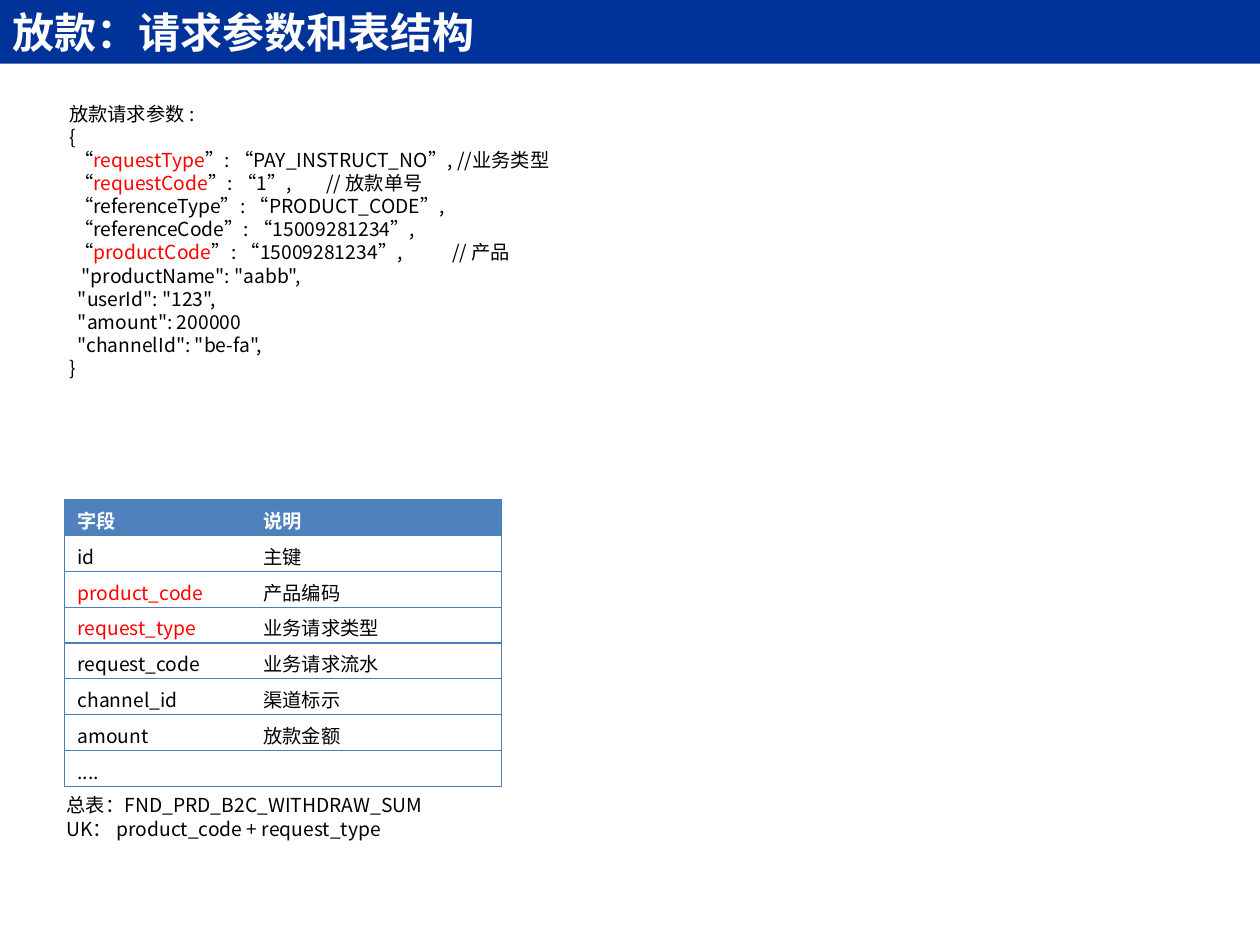
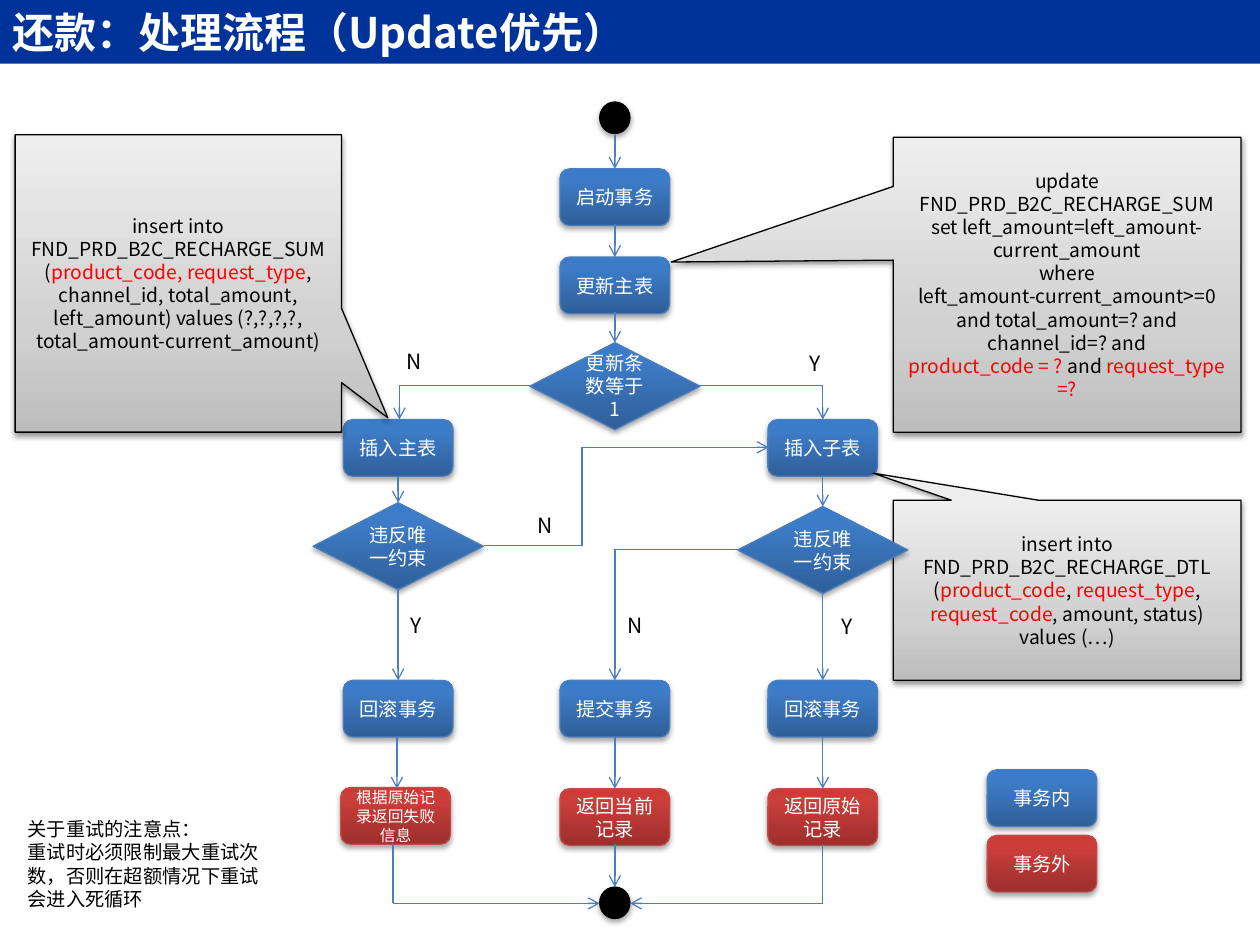
import itertools
import pptx
import pptx.dml.color
import pptx.enum.shapes
import pptx.enum.text
import pptx.oxml
import pptx.oxml.ns
import pptx.util

COLORS = {
    "band": "003399", "white": "FFFFFF", "black": "000000", "red": "FF0000",
    "line": "4B7EBC", "red_line": "BF4C48", "header": "4F81BD",
}
GRADIENTS = {
    "inside": ((0, "2F5F99"), (80, "3D7CC7"), (100, "3A7CCB")),
    "outside": ((0, "9C2F2D"), (80, "CB3E3A"), (100, "CE3B37")),
    "note": ((0, "BDBDBD"), (35, "D1D1D1"), (100, "EEEEEE")),
}
FONT = "Noto Sans CJK SC"
COLUMNS, ROWS = 100, 75
KINDS = pptx.enum.shapes.MSO_SHAPE
CENTER = pptx.enum.text.PP_ALIGN.CENTER
MIDDLE = pptx.enum.text.MSO_ANCHOR.MIDDLE


def rgb(name):
    return pptx.dml.color.RGBColor.from_string(COLORS[name])


def apply(target, values):
    for name, value in values.items():
        setattr(target, name, value)


def element(tag, inner="", **attributes):
    listed = "".join(f' {key}="{value}"' for key, value in attributes.items())
    namespace = pptx.oxml.ns.nsdecls("a")
    return pptx.oxml.parse_xml(f"<a:{tag} {namespace}{listed}>{inner}</a:{tag}>")


class Page:
    def __init__(self, deck, title):
        self.deck = deck
        self.slide = deck.slides.add_slide(deck.slide_layouts[6])
        self.shapes = self.slide.shapes
        band = self.shape(KINDS.RECTANGLE, 0, 0, COLUMNS, 5.05)
        self.fill(band, "band")
        band.line.fill.background()
        band.text_frame.vertical_anchor = pptx.enum.text.MSO_ANCHOR.TOP
        self.add_lines(band.text_frame, [title], size=24, color="white", bold=True,
                       align=pptx.enum.text.PP_ALIGN.LEFT)

    def x(self, column):
        return round(self.deck.slide_width * column / COLUMNS)

    def y(self, row):
        return round(self.deck.slide_height * row / ROWS)

    def place(self, left, top, width, height):
        return self.x(left), self.y(top), self.x(width), self.y(height)

    def shape(self, kind, *place):
        shape = self.shapes.add_shape(kind, *self.place(*place))
        shape.shadow.inherit = False
        return shape

    def fill(self, target, color):
        target.fill.solid()
        target.fill.fore_color.rgb = rgb(color)

    def outline(self, shape, color):
        shape.line.color.rgb = rgb(color)
        shape.line.width = pptx.util.Pt(0.75)

    def gradient(self, shape, name):
        stops = "".join(
            f'<a:gs pos="{share * 1000}"><a:srgbClr val="{color}"/></a:gs>'
            for share, color in GRADIENTS[name])
        shape.fill.solid()
        properties = shape._element.spPr
        properties.replace(
            properties.find(pptx.oxml.ns.qn("a:solidFill")),
            element("gradFill", f'<a:gsLst>{stops}</a:gsLst><a:lin ang="16200000" scaled="0"/>',
                    rotWithShape=1))

    def shade(self, shape, alpha=35, distance=23000):
        effects = shape._element.spPr.find(pptx.oxml.ns.qn("a:effectLst"))
        effects.append(element(
            "outerShdw",
            f'<a:srgbClr val="{COLORS["black"]}"><a:alpha val="{alpha * 1000}"/></a:srgbClr>',
            blurRad=40000, dist=distance, dir=5400000, rotWithShape=0))

    def add_lines(self, frame, lines, size=11, color="black", bold=False, align=None):
        for number, line in enumerate(lines):
            para = frame.paragraphs[0] if number == 0 else frame.add_paragraph()
            para.alignment = align
            for position, text in enumerate(line.split("|")):
                if not text:
                    continue
                span = para.add_run()
                span.text = text
                apply(span.font, {"name": FONT, "size": pptx.util.Pt(size), "bold": bold})
                span.font.color.rgb = rgb("red" if position % 2 else color)
                span._r.get_or_add_rPr().append(element("ea", typeface=FONT))

    def text(self, place, lines, size=11, wrap=True):
        box = self.shapes.add_textbox(*self.place(*place))
        box.text_frame.word_wrap = wrap
        self.add_lines(box.text_frame, lines, size)
        return box

    def indent(self, para, inches, stop=None):
        properties = para._p.get_or_add_pPr()
        properties.set("marL", str(pptx.util.Inches(inches)))
        properties.set("indent", "0")
        if stop:
            tab = f'<a:tab pos="{pptx.util.Inches(stop)}" algn="l"/>'
            properties.append(element("tabLst", tab))

    def borders(self, cell, sides):
        properties = cell._tc.get_or_add_tcPr()
        for number, side in enumerate(("lnL", "lnR", "lnT", "lnB")):
            paint = f'<a:solidFill><a:srgbClr val="{COLORS["line"]}"/></a:solidFill>'
            inner = paint if side in sides else "<a:noFill/>"
            properties.insert(number, element(side, inner, w=9525))

    def table(self, left, top, widths, row_height, records):
        place = self.place(left, top, sum(widths), row_height * len(records))
        table = self.shapes.add_table(len(records), len(widths), *place).table
        for column, width in zip(table.columns, widths):
            column.width = self.x(width)
        for row, (line, record) in enumerate(zip(table.rows, records)):
            line.height = self.y(row_height)
            for column, text in enumerate(record):
                cell = table.cell(row, column)
                header = row == 0
                self.fill(cell, "header" if header else "white")
                self.borders(cell, ("lnT", "lnB", "lnR" if column else "lnL"))
                self.add_lines(cell.text_frame, [text], bold=header,
                               color="white" if header else "black")
                if not text:
                    cell.text_frame.paragraphs[0].font.size = pptx.util.Pt(11)

    def node(self, text, center, top, style="inside", kind=KINDS.ROUNDED_RECTANGLE,
             width=8.7, height=4.5, size=11):
        box = self.shape(kind, center - width / 2, top, width, height)
        self.gradient(box, style)
        self.outline(box, "line" if style == "inside" else "red_line")
        self.shade(box)
        box.text_frame.vertical_anchor = MIDDLE
        self.add_lines(box.text_frame, [text], size, "white", align=CENTER)

    def decision(self, text, center, top):
        self.node(text, center, top, kind=KINDS.FLOWCHART_DECISION, width=13.5, height=6.9)

    def terminal(self, center, top):
        dot = self.shape(KINDS.FLOWCHART_CONNECTOR, center - 1.2, top, 2.4, 2.5)
        self.fill(dot, "black")
        self.outline(dot, "black")
        self.shade(dot)

    def callout(self, place, tip, lines):
        note = self.shape(KINDS.RECTANGULAR_CALLOUT, *place)
        note.adjustments[0], note.adjustments[1] = tip
        self.gradient(note, "note")
        self.outline(note, "black")
        self.shade(note, alpha=38, distance=20000)
        note.text_frame.vertical_anchor = MIDDLE
        self.add_lines(note.text_frame, lines, align=CENTER)

    def route(self, *points):
        for start, end in itertools.pairwise(points):
            line = self.shapes.add_connector(
                pptx.enum.shapes.MSO_CONNECTOR.STRAIGHT,
                self.x(start[0]), self.y(start[1]), self.x(end[0]), self.y(end[1]))
            self.outline(line, "line")
            properties = line._element.spPr
            if end == points[-1]:
                properties.get_or_add_ln().append(element("tailEnd", type="arrow"))
            properties.append(element("effectLst"))


def build_request_page(deck):
    page = Page(deck, "放款：请求参数和表结构")
    request = (
        ("放款请求参数 :", 0, None),
        ("{", 0, None),
        ("“|requestType|”: “PAY_INSTRUCT_NO”, //业务类型", 0.04, None),
        ("“|requestCode|”: “1”,\t// 放款单号", 0.04, 3.02),
        ("“referenceType”: “PRODUCT_CODE”,", 0.04, None),
        ("“referenceCode”: “15009281234”,", 0.04, None),
        ("“|productCode|”: “15009281234”,\t// 产品", 0.04, 3.21),
        ('"productName": "aabb",', 0.1, None),
        ('"userId": "123",', 0.07, None),
        ('"amount": 200000', 0.07, None),
        ('"channelId": "be-fa",', 0.07, None),
        ("}", 0, None),
    )
    box = page.text((4.5, 7.6, 63.3, 23.2), [line for line, _, _ in request])
    for para, (_, inches, stop) in zip(box.text_frame.paragraphs, request):
        page.indent(para, inches, stop)
    page.table(5.15, 39.65, (14.75, 19.9), 2.85, (
        ("字段", "说明"),
        ("id", "主键"),
        ("|product_code|", "产品编码"),
        ("|request_type|", "业务请求类型"),
        ("request_code", "业务请求流水"),
        ("channel_id", "渠道标示"),
        ("amount", "放款金额"),
        ("....", ""),
    ))
    page.text((4.3, 62.5, 31.2, 4.7),
              ["总表：FND_PRD_B2C_WITHDRAW_SUM", "UK： product_code + request_type"], wrap=False)


def build_repayment_page(deck):
    page = Page(deck, "还款：处理流程（Update优先）")
    left, middle, right, legend = 31.6, 48.8, 65.3, 82.7
    insert_top, result_top, reply_top, end_row = 33.3, 54, 62.6, 71.7

    for text, center, top in (
            ("启动事务", middle, 13.4), ("更新主表", middle, 20.4),
            ("插入主表", left, insert_top), ("插入子表", right, insert_top),
            ("回滚事务", left, result_top), ("提交事务", middle, result_top),
            ("回滚事务", right, result_top), ("事务内", legend, 61.1)):
        page.node(text, center, top)
    for text, center, top, size in (
            ("根据原始记录返回失败信息", left - 0.2, reply_top - 0.1, 9),
            ("返回当前记录", middle, reply_top, 11),
            ("返回原始记录", right, reply_top, 11),
            ("事务外", legend, 66.3, 11)):
        page.node(text, center, top, "outside", size=size)

    page.callout((70.9, 10.9, 27.6, 23.4), (-1.139, -0.077), [
        "update FND_PRD_B2C_RECHARGE_SUM set left_amount=left_amount-current_amount",
        "where",
        "left_amount-current_amount>=0 and total_amount=? and channel_id=? and",
        "|product_code = ? |and |request_type =?|"])
    page.callout((70.9, 39.7, 27.6, 14.3), (-0.558, -0.65), [
        "insert into FND_PRD_B2C_RECHARGE_DTL (|product_code|, |request_type|, "
        "|request_code|, amount, status) values (…)"])
    page.callout((1.2, 10.7, 25.9, 23.6), (0.642, 0.452), [
        "insert into FND_PRD_B2C_RECHARGE_SUM",
        "(|product_code, request_type|, channel_id, total_amount, left_amount) "
        "values (?,?,?,?, total_amount-current_amount)"])

    page.decision("更新条数等于1", middle, 27.2)
    page.decision("违反唯一约束", left, 39.9)
    page.decision("违反唯一约束", right, 40.2)
    page.terminal(middle, 8.1)
    page.terminal(middle, 70.4)

    for center, start, end in (
            (middle, 10.7, 13.4), (middle, 17.8, 20.4), (middle, 24.8, 27.2),
            (left, 37.8, 39.9), (right, 37.8, 40.2),
            (left, 46.7, result_top), (right, 47, result_top),
            (left - 0.1, 58.5, reply_top), (middle, 58.5, reply_top),
            (right, 58.5, reply_top), (middle, 67, 70.4)):
        page.route((center, start), (center, end))
    page.route((42.4, 30.6), (31.7, 30.6), (31.7, insert_top))
    page.route((55.3, 30.6), (right, 30.6), (right, insert_top))
    page.route((38.4, 43.3), (46.2, 43.3), (46.2, 35.5), (61, 35.5))
    page.route((58.6, 43.6), (middle, 43.6), (middle, result_top))
    page.route((31.2, 67), (31.2, end_row), (47.6, end_row))
    page.route((right, 67), (right, end_row), (50, end_row))

    for answer, column, row in (
            ("N", 31.3, 27.2), ("Y", 63.3, 27.3), ("N", 41.7, 40.2),
            ("Y", 31.6, 48.1), ("N", 48.8, 48.1), ("Y", 65.8, 48.2)):
        page.text((column, row, 3.4 if answer == "N" else 3, 3), [answer], 12, wrap=False)
    page.text((1.2, 64.4, 21.2, 8.4), [
        "关于重试的注意点：",
        "重试时必须限制最大重试次数，否则在超额情况下重试会进入死循环"])


def main():
    deck = pptx.Presentation()
    apply(deck, {"slide_width": pptx.util.Inches(10), "slide_height": pptx.util.Inches(7.5)})
    build_request_page(deck)
    build_repayment_page(deck)
    deck.save("out.pptx")


if __name__ == "__main__":
    main()
